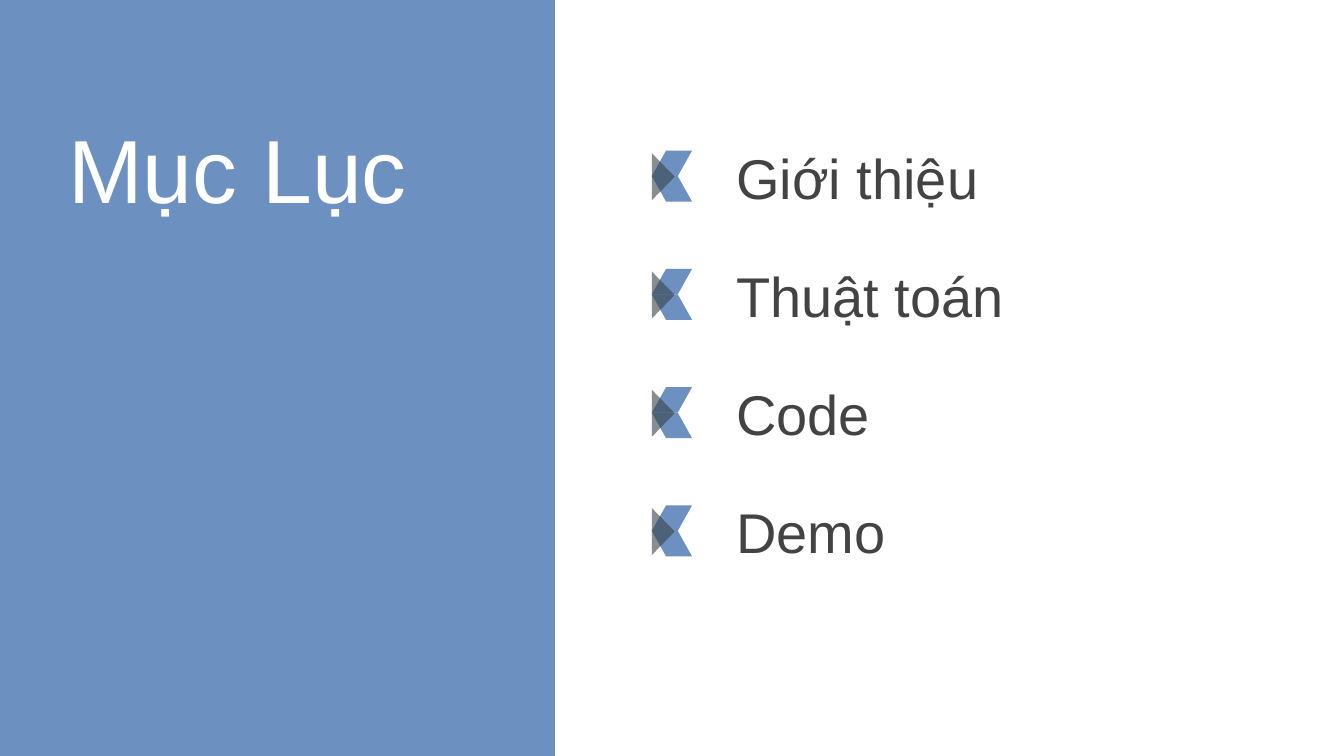
from typing import NamedTuple

from lxml.etree import SubElement
from pptx import Presentation
from pptx.dml.color import RGBColor
from pptx.enum.shapes import MSO_SHAPE
from pptx.enum.text import MSO_ANCHOR
from pptx.oxml.ns import qn
from pptx.util import Inches, Pt

BLUE, SLATE, WHITE, GREY = "5E85B9", "38444A", "FFFFFF", "434343"
WIDE = 10
HIGH = WIDE * 9 / 16
FIRST, STEP = 1.06, 0.88


class Part(NamedTuple):
    """One piece of the marker, placed relative to its row."""
    kind: MSO_SHAPE
    box: tuple
    color: str
    alpha: int
    adjust: float
    turn: int = 0
    flip: bool = False


class Style(NamedTuple):
    """Look of a text box."""
    size: int
    color: str
    anchor: MSO_ANCHOR


MARKER = [
    Part(MSO_SHAPE.PARALLELOGRAM, (4.85, 0.06, 0.3, 0.19), BLUE, 91, 0.56),
    Part(MSO_SHAPE.PARALLELOGRAM, (4.85, 0.25, 0.3, 0.19), BLUE, 91, 0.56,
         flip=True),
    Part(MSO_SHAPE.ISOSCELES_TRIANGLE, (4.76, 0.17, 0.35, 0.17), SLATE, 60,
         0.5, turn=90),
]
TITLE = Style(48, WHITE, MSO_ANCHOR.TOP)
ITEM = Style(30, GREY, MSO_ANCHOR.MIDDLE)
ITEMS = ["Giới thiệu", "Thuật toán", "Code", "Demo"]


def rgb(code: str) -> RGBColor:
    """Turn a hex string into a colour."""
    return RGBColor.from_string(code)


def add_part(shapes, kind: MSO_SHAPE, box: tuple, color: str, alpha: int):
    """Add a borderless, partly transparent shape."""
    shape = shapes.add_shape(kind, *map(Inches, box))
    shape.shadow.inherit = False
    shape.line.fill.background()
    shape.fill.solid()
    shape.fill.fore_color.rgb = rgb(color)
    tint = shape.element.spPr.find(qn("a:solidFill"))[0]
    SubElement(tint, qn("a:alpha")).set("val", str(alpha * 1000))
    return shape


def add_marker(slide, top: float) -> None:
    """Draw the grouped marker of one row."""
    group = slide.shapes.add_group_shape()
    for part in MARKER:
        left, drop, width, height = part.box
        shape = add_part(group.shapes, part.kind,
                         (left, top + drop, width, height),
                         part.color, part.alpha)
        shape.adjustments[0] = part.adjust
        shape.rotation = part.turn
        if part.flip:
            shape.element.spPr.get_or_add_xfrm().set("flipH", "1")


def add_text(slide, text: str, box: tuple, style: Style) -> None:
    """Add a wrapped text box with even insets."""
    frame = slide.shapes.add_textbox(*map(Inches, box)).text_frame
    inset = Inches(0.1)
    looks = {"word_wrap": True, "vertical_anchor": style.anchor,
             "margin_left": inset, "margin_right": inset,
             "margin_top": inset, "margin_bottom": inset}
    for name, value in looks.items():
        setattr(frame, name, value)
    run = frame.paragraphs[0].add_run()
    run.text = text
    for name, value in {"name": "Arial", "size": Pt(style.size)}.items():
        setattr(run.font, name, value)
    run.font.color.rgb = rgb(style.color)


def build() -> None:
    """Build the contents slide."""
    deck = Presentation()
    deck.slide_width, deck.slide_height = Inches(WIDE), Inches(HIGH)
    slide = deck.slides.add_slide(deck.slide_layouts[6])
    add_part(slide.shapes, MSO_SHAPE.RECTANGLE, (0, 0, 4.13, HIGH), BLUE, 91)
    add_text(slide, "Mục Lục", (0.41, 0.75, 3.92, 1.93), TITLE)
    for row, label in enumerate(ITEMS):
        top = FIRST + row * STEP
        add_marker(slide, top)
        add_text(slide, label, (5.38, top, 3.85, 0.51), ITEM)
    deck.save("out.pptx")


build()
